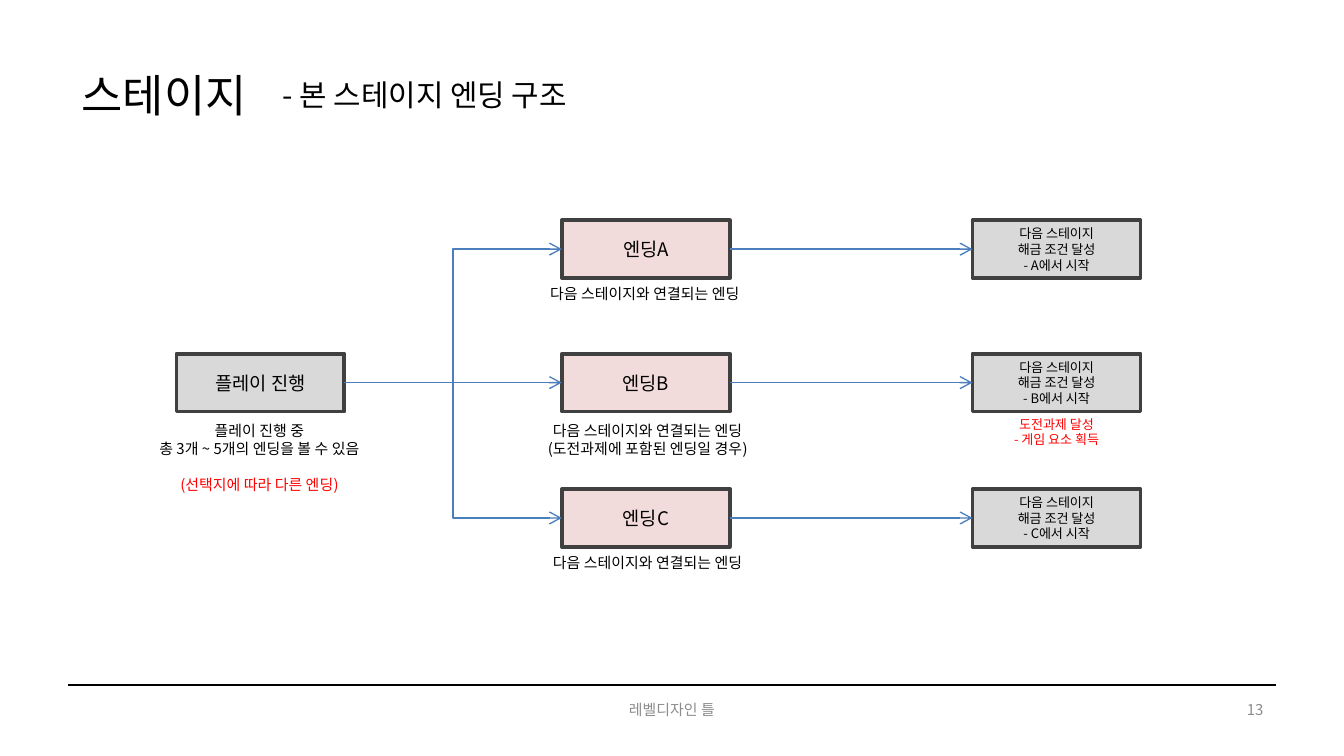
"""Builds a slide showing how the stage branches into three endings."""
from lxml import etree
from pptx import Presentation
from pptx.dml.color import RGBColor
from pptx.enum.shapes import MSO_CONNECTOR, MSO_SHAPE
from pptx.enum.text import MSO_ANCHOR, MSO_AUTO_SIZE, PP_ALIGN
from pptx.oxml.ns import qn
from pptx.util import Pt

STRAIGHT, ELBOW = MSO_CONNECTOR.STRAIGHT, MSO_CONNECTOR.ELBOW
RECTANGLE = MSO_SHAPE.RECTANGLE
TOP, MIDDLE = MSO_ANCHOR.TOP, MSO_ANCHOR.MIDDLE
LEFT, CENTER, RIGHT = PP_ALIGN.LEFT, PP_ALIGN.CENTER, PP_ALIGN.RIGHT
NO_AUTOFIT = MSO_AUTO_SIZE.NONE

FONT = "Noto Sans CJK KR"
COLORS = {
    "text": "000000",
    "accent": "FF0000",
    "footer": "8C8C8C",
    "neutral": "D9D9D9",
    "ending": "F2DCDB",
    "border": "404040",
    "arrow": "4B7EBC",
}
BOX_WIDTH, BOX_HEIGHT = 90, 31
PLAY_X, ENDING_X, NEXT_X = 94.5, 301, 521
ROW_TOPS = {"A": 118, "B": 189.5, "C": 262}
RIGHT_SITE, LEFT_SITE = 3, 1


def rgb(name):
    return RGBColor.from_string(COLORS[name])


def format_paragraph(paragraph, size, color, align):
    paragraph.alignment = align
    paragraph.line_spacing = Pt(size * 1.2)
    for run in paragraph.runs:
        run.font.size = Pt(size)
        run.font.color.rgb = rgb(color)
        run.font.name = FONT
        east_asian = etree.SubElement(run.font._element, qn("a:ea"))
        east_asian.set("typeface", FONT)


def write(frame, text, size, color="text", align=CENTER, anchor=TOP):
    frame.word_wrap = True
    frame.auto_size = NO_AUTOFIT
    frame.vertical_anchor = anchor
    frame.text = text
    for paragraph in frame.paragraphs:
        format_paragraph(paragraph, size, color, align)


def add_label(slide, text, left, top, width, height, size, **style):
    label = slide.shapes.add_textbox(Pt(left), Pt(top), Pt(width), Pt(height))
    write(label.text_frame, text, size, **style)
    return label


def add_title(slide, text):
    title = slide.shapes.title
    title.left, title.top = Pt(36.5), Pt(32.5)
    title.width, title.height = Pt(163.5), Pt(36)
    write(title.text_frame, text, 24, align=LEFT)


def add_box(slide, text, left, top, fill, size):
    box = slide.shapes.add_shape(
        RECTANGLE, Pt(left), Pt(top), Pt(BOX_WIDTH), Pt(BOX_HEIGHT))
    box.shadow.inherit = False
    box.fill.solid()
    box.fill.fore_color.rgb = rgb(fill)
    box.line.color.rgb = rgb("border")
    box.line.width = Pt(2)
    frame = box.text_frame
    frame.margin_top = frame.margin_bottom = 0
    write(frame, text, size, anchor=MIDDLE)
    return box


def add_line(slide, kind, color, start=(0, 0), end=(0, 0)):
    line = slide.shapes.add_connector(
        kind, *(Pt(value) for value in (*start, *end)))
    line.line.color.rgb = rgb(color)
    line.line.width = Pt(0.75)
    etree.SubElement(line._element.spPr, qn("a:effectLst"))
    return line


def add_arrow(slide, source, target, kind=STRAIGHT):
    arrow = add_line(slide, kind, "arrow")
    arrow.begin_connect(source, RIGHT_SITE)
    arrow.end_connect(target, LEFT_SITE)
    head = etree.SubElement(arrow.line._get_or_add_ln(), qn("a:tailEnd"))
    head.set("type", "arrow")


def add_flow(slide):
    play = add_box(slide, "플레이 진행", PLAY_X, ROW_TOPS["B"], "neutral", 10)
    for letter, top in ROW_TOPS.items():
        ending = add_box(slide, f"엔딩{letter}", ENDING_X, top, "ending", 10)
        unlock = add_box(
            slide, f"다음 스테이지\n해금 조건 달성\n- {letter}에서 시작",
            NEXT_X, top, "neutral", 7)
        add_arrow(slide, play, ending, STRAIGHT if letter == "B" else ELBOW)
        add_arrow(slide, ending, unlock)


def add_captions(slide):
    linked = "다음 스테이지와 연결되는 엔딩"
    add_label(slide, linked, 277, 149, 137, 17, 8)
    add_label(slide, f"{linked}\n(도전과제에 포함된 엔딩일 경우)",
              272, 222.5, 150, 26.5, 8)
    add_label(slide, linked, 278.5, 293, 137, 17, 8)
    add_label(slide, "도전과제 달성\n- 게임 요소 획득",
              512, 219.5, 108, 24.5, 7, color="accent")

    progress = add_label(
        slide,
        "플레이 진행 중\n총 3개 ~ 5개의 엔딩을 볼 수 있음\n(선택지에 따라 다른 엔딩)",
        70.5, 222.5, 137, 46, 8)
    choice_note = progress.text_frame.paragraphs[-1]
    choice_note.space_before = Pt(9.6)
    for run in choice_note.runs:
        run.font.color.rgb = rgb("accent")


def add_footer(slide):
    add_line(slide, STRAIGHT, "text", (36.5, 367), (683.5, 367))
    add_label(slide, "레벨디자인 틀", 246, 369.5, 228, 21.5, 8,
              color="footer", anchor=MIDDLE)
    add_label(slide, "13", 516, 369.5, 168, 21.5, 8,
              color="footer", align=RIGHT, anchor=MIDDLE)


def main():
    deck = Presentation()
    deck.slide_width, deck.slide_height = Pt(720), Pt(405)
    slide = deck.slides.add_slide(deck.slide_layouts[5])
    add_title(slide, "스테이지")
    add_label(slide, "- 본 스테이지 엔딩 구조", 144.5, 37.5, 238.5, 26.5, 16,
              align=LEFT)
    add_flow(slide)
    add_captions(slide)
    add_footer(slide)
    deck.save("out.pptx")


if __name__ == "__main__":
    main()
